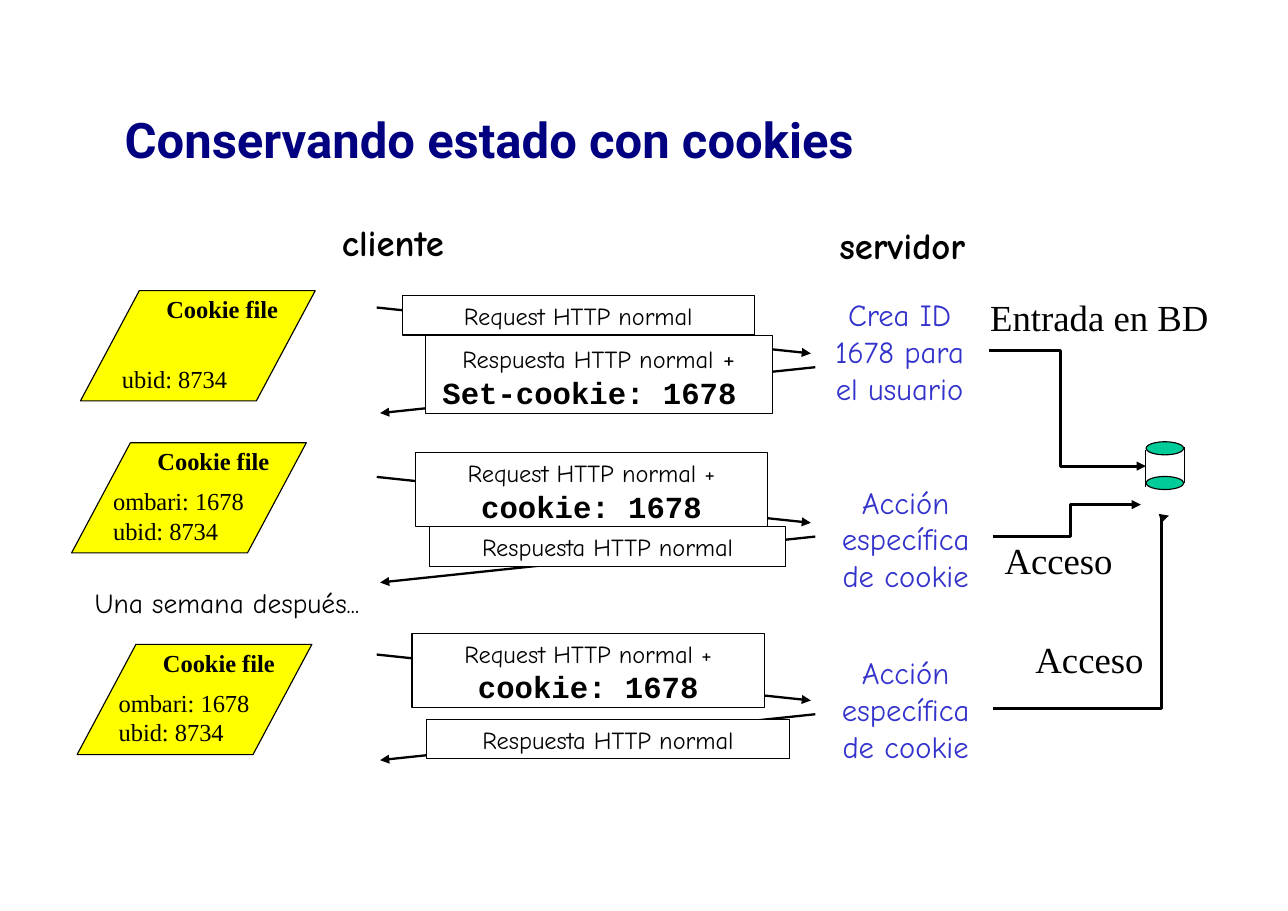
from lxml import etree
from pptx import Presentation
from pptx import util as u
from pptx.dml.color import RGBColor
from pptx.enum import shapes, text
from pptx.oxml import ns

Pt = u.Pt
theme = {
    "ink": "000000", "paper": "FFFFFF", "file": "FFFF00", "disk": "00CC99",
    "title": ("000080", dict(name="Roboto", size=Pt(32), bold=True)),
    "role": ("000000", dict(name="Comic Neue", size=Pt(24), bold=True)),
    "body": ("000000", dict(name="Comic Neue", size=Pt(16), bold=False)),
    "plus": ("000000", dict(name="Comic Neue", size=Pt(18), bold=False)),
    "code": ("000000", dict(name="Courier New", size=Pt(20), bold=True)),
    "task": ("3333CC", dict(name="Comic Neue", size=Pt(20), bold=False)),
    "label": ("000000", dict(name="Times New Roman", size=Pt(24), bold=False)),
    "head": ("000000", dict(name="Times New Roman", size=Pt(16), bold=True)),
    "entry": ("000000", dict(name="Times New Roman", size=Pt(16), bold=False)),
}
kinds = shapes.MSO_SHAPE
straight = shapes.MSO_CONNECTOR.STRAIGHT
elbow = shapes.MSO_CONNECTOR.ELBOW
left, center = text.PP_ALIGN.LEFT, text.PP_ALIGN.CENTER
top, middle, bottom = (text.MSO_ANCHOR.TOP, text.MSO_ANCHOR.MIDDLE,
                       text.MSO_ANCHOR.BOTTOM)

deck = Presentation()
deck.slide_width, deck.slide_height = Pt(841.7), Pt(595.4)
slide = deck.slides.add_slide(deck.slide_layouts[5])
items = slide.shapes


def write(shape, lines, align=center, anchor=top):
    frame = shape.text_frame
    form = dict(word_wrap=align == left, auto_size=text.MSO_AUTO_SIZE.NONE,
                vertical_anchor=anchor, margin_left=Pt(7.2), margin_right=Pt(7.2),
                margin_top=Pt(3.6), margin_bottom=Pt(3.6))
    for key, value in form.items():
        setattr(frame, key, value)
    for i, line in enumerate(lines):
        para = frame.add_paragraph() if i else frame.paragraphs[0]
        para.alignment = align
        for words, style in line:
            run = para.add_run()
            run.text = words
            color, font = theme[style]
            run.font.color.rgb = RGBColor.from_string(color)
            for key, value in font.items():
                setattr(run.font, key, value)


def link(kind, start, end, width, arrow=True, bend=None):
    line = items.add_connector(kind, *map(Pt, start + end))
    line.line.width = Pt(width)
    line.line.color.rgb = RGBColor.from_string(theme["ink"])
    props = line._element.spPr
    if arrow:
        etree.SubElement(line.line._get_or_add_ln(), ns.qn("a:tailEnd"), type="triangle")
    if bend:
        guides = props.find(ns.qn("a:prstGeom")).get_or_add_avLst()
        etree.SubElement(guides, ns.qn("a:gd"), name="adj1", fmla=f"val {bend}")
    etree.SubElement(props, ns.qn("a:effectLst"))


title = items.title
for key, value in dict(left=74.2, top=46, width=667.4, height=90).items():
    setattr(title, key, Pt(value))
write(title, [[("Conservando estado con cookies", "title")]], left, middle)

for y in (201, 311.7, 427.8):
    link(straight, (246.2, y), (529.9, y + 30), 1.5)
    link(straight, (532.8, y + 39), (248.4, y + 69), 1.5)

ask, reply = ("Request HTTP normal", "body"), ("Respuesta HTTP normal", "body")
ask_id = [[("Request HTTP normal +", "body")], [("cookie: 1678", "code")]]
set_id = [[reply, (" +", "plus")], [("Set-cookie: 1678 ", "code")]]
calls = [
    (262.8, 193, 230.4, 26, [[ask]]),
    (277.9, 219, 226.8, 51, set_id),
    (271.4, 296, 230.4, 48.2, ask_id),
    (280.8, 344.2, 232.6, 26, [[reply]]),
    (269.3, 414, 230.4, 48.2, ask_id),
    (278.6, 470, 237.6, 26, [[reply]]),
]
files = [(52.6, 190, 1), (46.8, 289.4, 2), (50.4, 421.2, 2)]
blocks = [(kinds.RECTANGLE, *call[:4], "paper", call[4]) for call in calls]
blocks += [(kinds.PARALLELOGRAM, x, y, 153.4, 72, "file", []) for x, y, _ in files]
blocks += [(kinds.OVAL, 749, y, 24.5, 8.6, "disk", []) for y in (288.7, 311.4)]
for kind, x, y, w, h, fill, lines in blocks:
    block = items.add_shape(kind, *map(Pt, (x, y, w, h)))
    block.shadow.inherit = False
    block.fill.solid()
    block.fill.fore_color.rgb = RGBColor.from_string(theme[fill])
    block.line.color.rgb = RGBColor.from_string(theme["ink"])
    block.line.width = Pt(0.75)
    if kind == kinds.PARALLELOGRAM:
        block.adjustments[0] = 0.534
    if lines:
        write(block, lines)

link(straight, (774, 292.3), (774, 316), 0.75, False)
link(straight, (748.8, 293.8), (748.8, 318), 0.75, False)
link(elbow, (646.6, 229), (748.8, 304.6), 0, bend=45400)
link(elbow, (648.7, 350.7), (745.6, 329.8), 0, bend=52600)
link(elbow, (648.7, 463), (763.9, 337), 0, bend=96000)

act = ["Acción", "específica", "de cookie"]
notes = [
    (216, 140.4, 81.4, 35.3, ["cliente"], "role", center, top),
    (541.4, 141.8, 96.5, 35.3, ["servidor"], "role", center, top),
    (538.6, 190, 98.6, 76.3, ["Crea ID", "1678 para", "el usuario"], "task", center, top),
    (542.9, 312.5, 97.9, 76.3, act, "task", center, top),
    (542.9, 424, 97.9, 76.3, act, "task", center, top),
    (640, 189.4, 170, 40, ["Entrada en BD"], "label", left, top),
    (649.4, 347.8, 100, 40, ["Acceso"], "label", left, top),
    (669.6, 412.6, 100, 40, ["Acceso"], "label", left, top),
    (54.7, 379.4, 210, 28, ["Una semana después..."], "plus", left, top),
]
sites = ["ombari: 1678", "ubid: 8734"]
for x, y, count in files:
    notes.append((x + 49, y - 1.5, 110, 25, ["Cookie file"], "head", left, top))
    notes.append((x + 20, y + 26.5, 120, 44, sites[-count:], "entry", left, bottom))
for x, y, w, h, lines, style, align, anchor in notes:
    box = items.add_textbox(*map(Pt, (x, y, w, h)))
    write(box, [[(line, style)] for line in lines], align, anchor)

deck.save("out.pptx")
